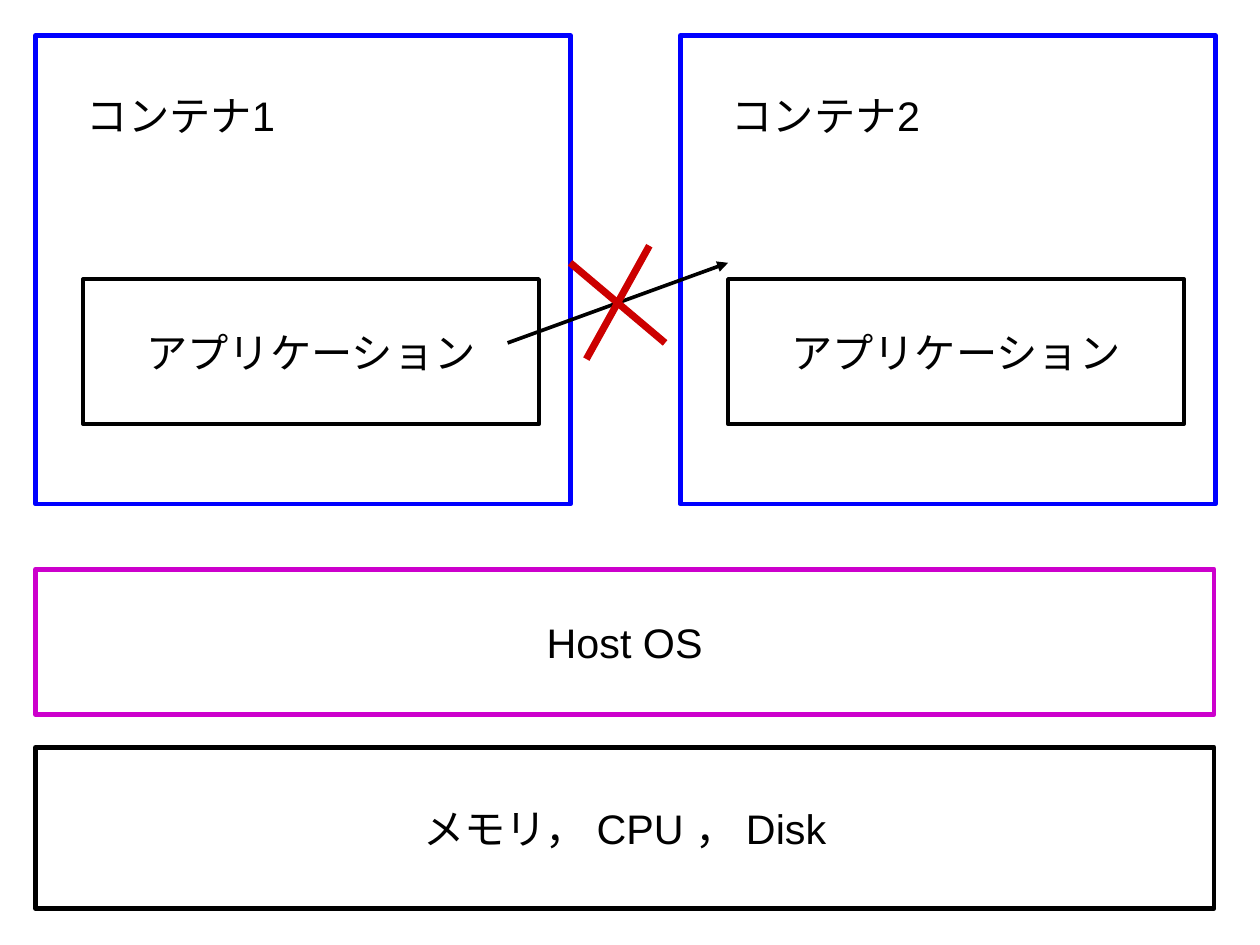
"""Build a slide showing two isolated containers on one host."""
import dataclasses

import pptx
import pptx.dml.color
import pptx.enum.shapes
import pptx.enum.text
import pptx.oxml
import pptx.oxml.ns
import pptx.util

Cm, Pt = pptx.util.Cm, pptx.util.Pt
RGB = pptx.dml.color.RGBColor.from_string


@dataclasses.dataclass(frozen=True)
class Theme:
    font: str = "Arial"
    size: float = 26
    ink: str = "000000"
    container: str = "0000FF"
    host: str = "CC00CC"
    cross: str = "CC0000"
    frame: float = 3
    thin: float = 2.3
    thick: float = 4.5


theme = Theme()
prs = pptx.Presentation()
prs.slide_width, prs.slide_height = Cm(28), Cm(21)
s = prs.slides.add_slide(prs.slide_layouts[6])


def write(sp, text, align):
    tf = sp.text_frame
    tf.text = text
    p = tf.paragraphs[0]
    p.alignment = align
    for r in p.runs:
        r.font.name = theme.font
        r.font.size = Pt(theme.size)
        r.font.color.rgb = RGB(theme.ink)


def add_box(left, top, width, height, color, weight, text=""):
    sp = s.shapes.add_shape(pptx.enum.shapes.MSO_SHAPE.RECTANGLE,
                            Cm(left), Cm(top), Cm(width), Cm(height))
    sp.shadow.inherit = False
    sp.fill.background()
    sp.line.color.rgb = RGB(color)
    sp.line.width = Pt(weight)
    if text:
        sp.text_frame.word_wrap = False
        sp.text_frame.vertical_anchor = pptx.enum.text.MSO_ANCHOR.MIDDLE
        write(sp, text, pptx.enum.text.PP_ALIGN.CENTER)


margin, pitch = 0.79, 14.33
add_box(margin, 16.61, 26.19, 3.58, theme.ink, theme.frame, "メモリ， CPU ， Disk")
add_box(margin, 12.65, 26.19, 3.23, theme.host, theme.frame, "Host OS")

for i in range(2):
    left = margin + i * pitch
    add_box(left, margin, 11.89, 10.41, theme.container, theme.frame)
    label = s.shapes.add_textbox(Cm(left + 0.89), Cm(1.88), Cm(5.41), Cm(1.73))
    label.text_frame.word_wrap = True
    write(label, f"コンテナ{i + 1}", pptx.enum.text.PP_ALIGN.LEFT)
    add_box(left + 1.06, 6.2, 10.13, 3.23, theme.ink, theme.thin, "アプリケーション")

lines = [
    (11.28, 7.62, 16.18, 5.84, theme.ink, theme.thin, True),
    (12.67, 5.84, 14.78, 7.62, theme.cross, theme.thick, False),
    (14.43, 5.46, 13.03, 7.98, theme.cross, theme.thick, False),
]
for x1, y1, x2, y2, color, weight, arrow in lines:
    cxn = s.shapes.add_connector(pptx.enum.shapes.MSO_CONNECTOR.STRAIGHT,
                                 Cm(x1), Cm(y1), Cm(x2), Cm(y2))
    cxn.line.color.rgb = RGB(color)
    cxn.line.width = Pt(weight)
    spPr = cxn._element.spPr
    if arrow:
        tail = pptx.oxml.parse_xml(
            f'<a:tailEnd {pptx.oxml.ns.nsdecls("a")} type="triangle"/>')
        spPr.find(pptx.oxml.ns.qn("a:ln")).append(tail)
    spPr.append(pptx.oxml.parse_xml(f'<a:effectLst {pptx.oxml.ns.nsdecls("a")}/>'))

prs.save("out.pptx")
